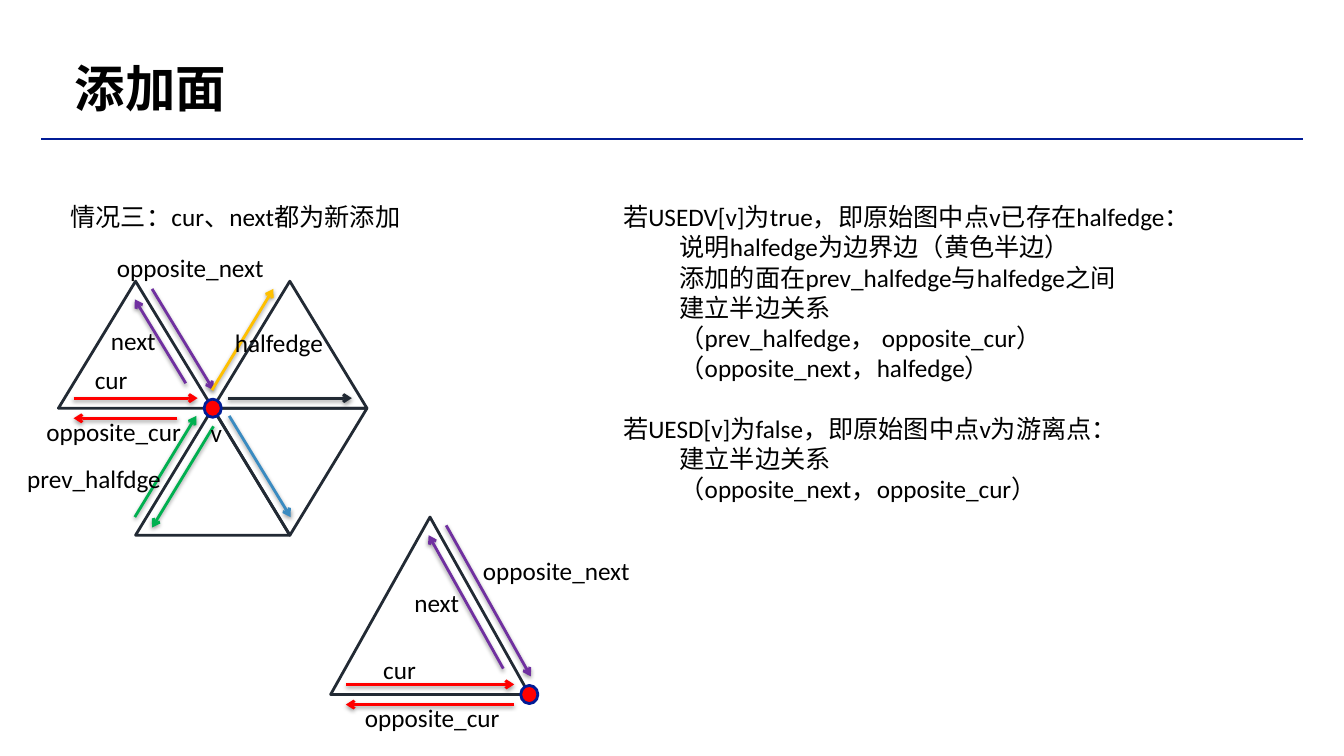
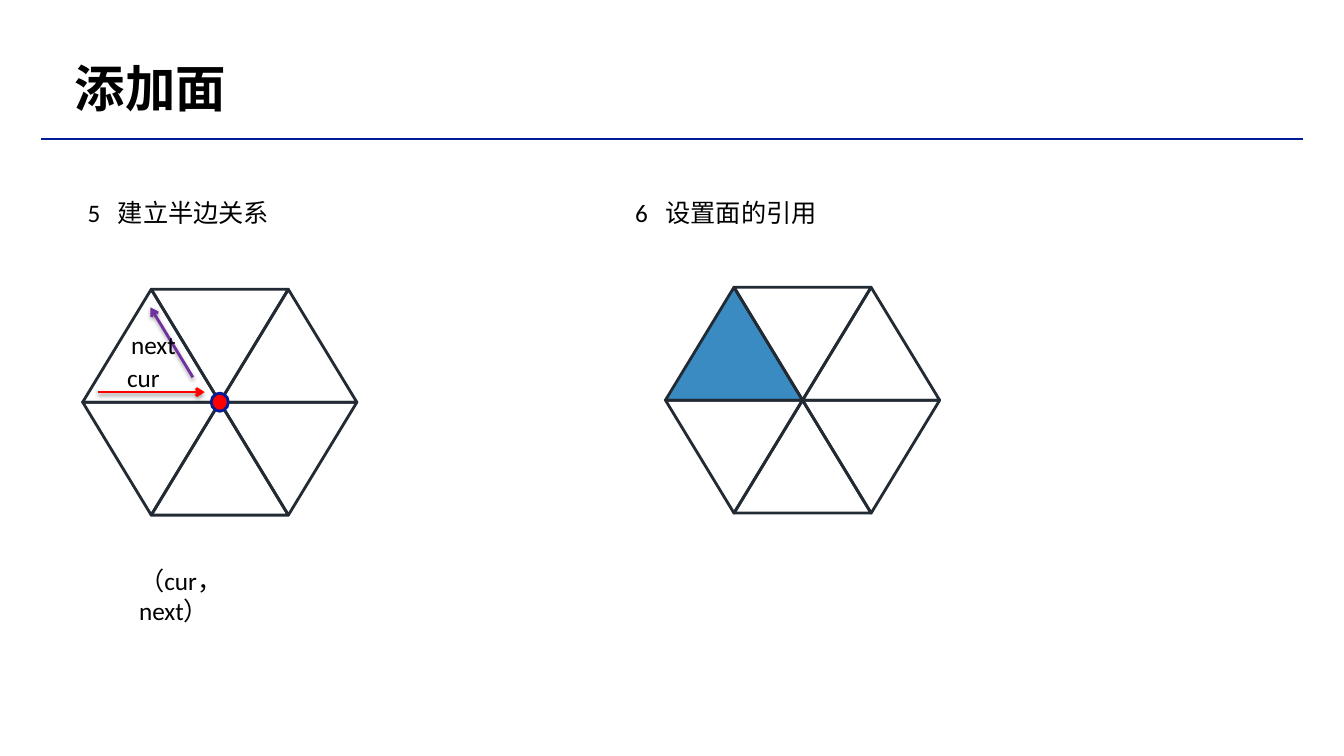
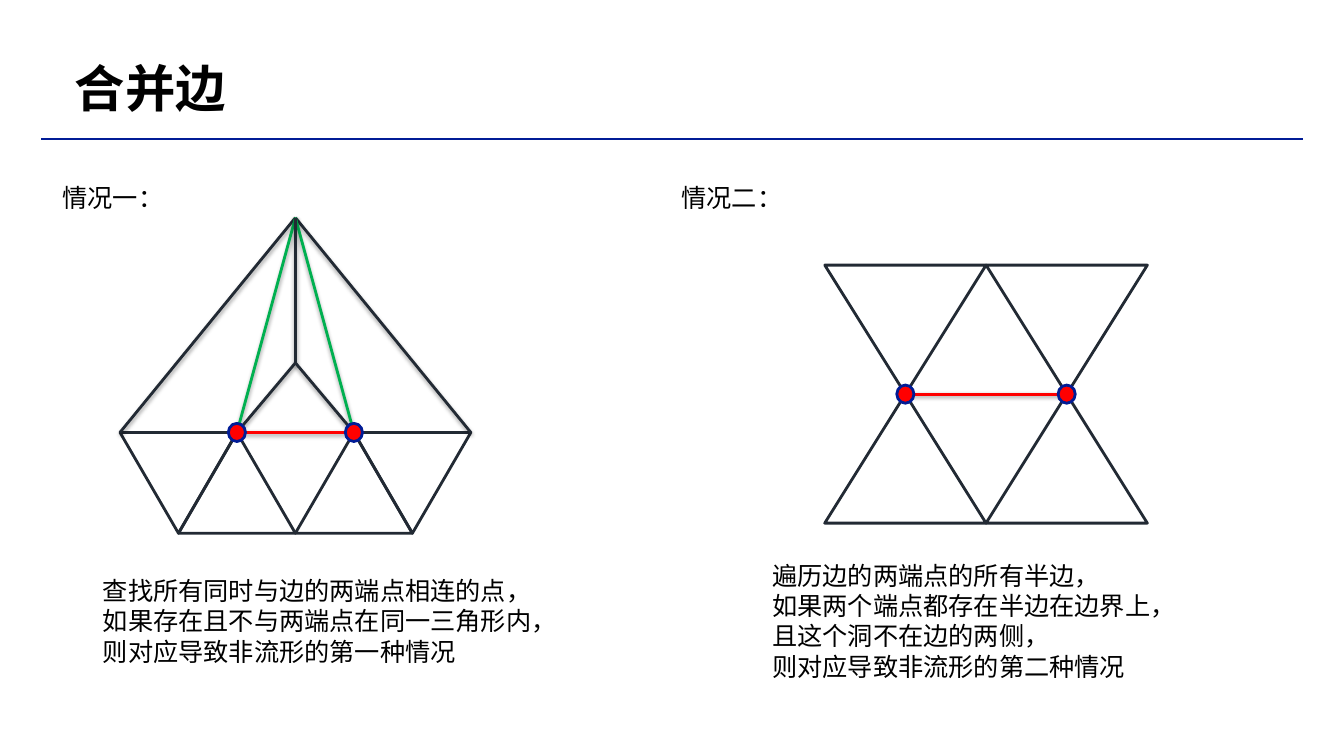
import itertools
import math
import pptx
import pptx.util
import pptx.dml.color
import pptx.enum.lang
import pptx.enum.shapes
import pptx.enum.text
import pptx.oxml
import pptx.oxml.ns

SHAPE = pptx.enum.shapes.MSO_SHAPE
INCH = pptx.util.Inches
COLORS = {"text": "000000", "rule": "011C96", "outline": "222A34", "red": "FF0000",
          "purple": "7030A0", "yellow": "FFC000", "blue": "3A8BC1", "green": "00B050"}
FONT = "Calibri"
BODY_SIZE, TITLE_SIZE = 18, 36
LINE_HEIGHT, WIDE_LETTER, NARROW_LETTER = 0.3, 0.25, 0.13
INSET, INDENT, NUMBER_TAB = 0.05, 0.56, 0.3
HALFEDGE_OFFSET, HALFEDGE_TRIM, LATE_START = 0.1, 0.15, 0.35

# Mesh points, in columns half a triangle wide and rows one triangle high
POINTS = {"W": (0, 1), "hub": (2, 1), "E": (4, 1), "far E": (6, 1),
          "NW": (1, 0), "NE": (3, 0), "SW": (1, 2), "SE": (3, 2),
          "apex": (3, -1.13), "inner": (3, 0.31)}

# Half-edges lie to the left of their direction; True starts further from the point
INNER_PAIR = [("red", "W", "hub"), ("purple", "hub", "NW", True)]
OUTER_PAIR = [("red", "hub", "W", True), ("purple", "NW", "hub")]

# mesh rows: # is a triangle, @ a filled one, . a gap
# texts: left, top, paragraphs, and a width where the text must wrap
SLIDES = [
    {
        "title": "添加面",
        "meshes": [
            {
                "origin": (0.58, 2.79), "triangle": (1.53, 1.26), "rows": ["#.#", ".##"],
                "halfedges": INNER_PAIR + OUTER_PAIR + [
                    ("yellow", "hub", "NE"), ("outline", "hub", "E"), ("blue", "hub", "SE"),
                    ("green", "hub", "SW"), ("green", "SW", "hub")],
                "vertices": ["hub"],
            },
            {
                "origin": (3.28, 5.13), "triangle": (1.97, 1.76), "rows": ["#"],
                "halfedges": INNER_PAIR + [halfedge[:3] for halfedge in OUTER_PAIR],
                "vertices": ["hub"],
            },
        ],
        "texts": [
            (0.65, 1.95, ["情况三：cur、next都为新添加"]),
            (6.13, 1.95, [
                "若USEDV[v]为true，即原始图中点v已存在halfedge：",
                ["说明halfedge为边界边（黄色半边）",
                 "添加的面在prev_halfedge与halfedge之间",
                 "建立半边关系",
                 "（prev_halfedge， opposite_cur）",
                 "（opposite_next，halfedge）"],
                "若UESD[v]为false，即原始图中点v为游离点：",
                ["建立半边关系", "（opposite_next，opposite_cur）"],
            ]),
            (0.89, 3.57, ["cur"]),
            (1.05, 3.18, ["next"]),
            (2.04, 4.09, ["v"]),
            (2.28, 3.2, ["halfedge"]),
            (0.22, 4.55, ["prev_halfdge"]),
            (0.41, 4.08, ["opposite_cur"]),
            (1.11, 2.45, ["opposite_next"]),
            (3.75, 6.44, ["cur"]),
            (4.06, 5.78, ["next"]),
            (3.57, 6.92, ["opposite_cur"]),
            (4.74, 5.46, ["opposite_next"]),
        ],
    },
    {
        "title": "添加面",
        "meshes": [
            {"origin": (0.82, 2.87), "triangle": (1.36, 1.12), "rows": ["###", "###"],
             "halfedges": INNER_PAIR, "vertices": ["hub"]},
            {"origin": (6.6, 2.85), "triangle": (1.36, 1.12), "rows": ["@##", "###"]},
        ],
        "texts": [
            (0.82, 1.91, ["5\t建立半边关系"]),
            (6.25, 1.91, ["6\t设置面的引用"]),
            (1.21, 3.55, ["cur"]),
            (1.25, 3.22, ["next"]),
            (1.33, 5.56, ["（cur，next）"], 1.5),
        ],
    },
    {
        "title": "合并边",
        "meshes": [
            {
                "origin": (1.19, 3.29), "triangle": (1.16, 1), "rows": ["", "##.##"],
                "edges": [("outline", "W", "apex", "far E"), ("green", "hub", "apex", "E"),
                          ("outline", "apex", "inner"), ("outline", "hub", "inner", "E"),
                          ("red", "hub", "E")],
                "vertices": ["hub", "E"],
            },
            {
                "origin": (7.38, 2.63), "triangle": (1.6, 1.28), "rows": [".#.#", ".#.#"],
                "edges": [("red", "hub", "E")],
                "vertices": ["hub", "E"],
            },
        ],
        "texts": [
            (0.57, 1.76, ["情况一："]),
            (6.71, 1.76, ["情况二："]),
            (0.97, 5.66, ["查找所有同时与边的两端点相连的点，",
                          "如果存在且不与两端点在同一三角形内，",
                          "则对应导致非流形的第一种情况"]),
            (7.61, 5.51, ["遍历边的两端点的所有半边，",
                          "如果两个端点都存在半边在边界上，",
                          "且这个洞不在边的两侧，",
                          "则对应导致非流形的第二种情况"]),
        ],
    },
]

SHADOW = ('<a:outerShdw blurRad="38100" dist="20000" dir="5400000" rotWithShape="0">'
          '<a:srgbClr val="000000"><a:alpha val="38000"/></a:srgbClr></a:outerShdw>')


def rgb(name):
    return pptx.dml.color.RGBColor.from_string(COLORS[name])


def xml(tag, content="", attributes=""):
    namespace = pptx.oxml.ns.nsdecls("a")
    return pptx.oxml.parse_xml(f"<a:{tag} {namespace} {attributes}>{content}</a:{tag}>")


# Text
def format_frame(frame):
    frame.word_wrap = True
    frame.auto_size = pptx.enum.text.MSO_AUTO_SIZE.NONE
    frame.vertical_anchor = pptx.enum.text.MSO_ANCHOR.TOP
    frame.margin_left = frame.margin_right = INCH(INSET)
    frame.margin_top = frame.margin_bottom = INCH(INSET)


def format_runs(paragraph, size, bold=False):
    paragraph.alignment = pptx.enum.text.PP_ALIGN.LEFT
    for run in paragraph.runs:
        run.font.name = FONT
        run.font.size = pptx.util.Pt(size)
        run.font.bold = bold
        run.font.color.rgb = rgb("text")
        run.font.language_id = pptx.enum.lang.MSO_LANGUAGE_ID.SIMPLIFIED_CHINESE


def text_width(words):
    return sum(WIDE_LETTER if ord(letter) > 255 else NARROW_LETTER for letter in words)


def add_text(slide, left, top, content, width=None):
    lines = []
    for item in content:
        nested = isinstance(item, list)
        lines += [(words, nested) for words in (item if nested else [item])]
    needed = max(text_width(words) + INDENT * nested for words, nested in lines)
    box = (left, top, width or needed + LINE_HEIGHT,
           LINE_HEIGHT * len(lines) + 2 * INSET)
    frame = slide.shapes.add_textbox(*map(INCH, box)).text_frame
    format_frame(frame)
    after_nested = False
    for index, (words, nested) in enumerate(lines):
        paragraph = frame.add_paragraph() if index else frame.paragraphs[0]
        paragraph.text = words
        properties = paragraph._p.get_or_add_pPr()
        if nested:
            properties.set("marL", str(INCH(INDENT)))
        elif after_nested:
            paragraph.space_before = INCH(LINE_HEIGHT)
        if "\t" in words:
            properties.append(xml("tabLst", f'<a:tab pos="{INCH(NUMBER_TAB)}" algn="l"/>'))
        format_runs(paragraph, BODY_SIZE)
        after_nested = nested


# Lines and shapes
def add_line(slide, start, end, color, weight=2, arrow=False, shadow=True):
    line = slide.shapes.add_connector(
        pptx.enum.shapes.MSO_CONNECTOR.STRAIGHT, *map(INCH, (*start, *end)))
    line.line.color.rgb = rgb(color)
    line.line.width = pptx.util.Pt(weight)
    if arrow:
        line.line._get_or_add_ln().append(xml("tailEnd", attributes='type="arrow"'))
    line._element.spPr.append(xml("effectLst", SHADOW if shadow else ""))


def add_halfedge(slide, start, end, color, late=False):
    length = math.dist(start, end)
    along_x, along_y = ((b - a) / length for a, b in zip(start, end))

    def shift(point, distance):
        return (point[0] + along_x * distance + along_y * HALFEDGE_OFFSET,
                point[1] + along_y * distance - along_x * HALFEDGE_OFFSET)

    add_line(slide, shift(start, LATE_START if late else HALFEDGE_TRIM),
             shift(end, -HALFEDGE_TRIM), color, arrow=True)


def add_outlined(slide, kind, box, outline, fill=None):
    shape = slide.shapes.add_shape(kind, *map(INCH, box))
    shape.shadow.inherit = False
    if fill:
        shape.fill.solid()
        shape.fill.fore_color.rgb = rgb(fill)
    else:
        shape.fill.background()
    shape.line.color.rgb = rgb(outline)
    shape.line.width = pptx.util.Pt(2)
    return shape


def add_mesh(slide, mesh):
    left, top = mesh["origin"]
    width, height = mesh["triangle"]

    def place(column, row):
        return left + column * width / 2, top + row * height

    places = {name: place(*point) for name, point in POINTS.items()}
    for row, cells in enumerate(mesh["rows"]):
        for column, mark in enumerate(cells):
            if mark != ".":
                triangle = add_outlined(
                    slide, SHAPE.ISOSCELES_TRIANGLE, (*place(column, row), width, height),
                    "outline", "blue" if mark == "@" else None)
                triangle.rotation = 180 * ((column + row) % 2)
    for color, *stops in mesh.get("edges", []):
        for start, end in itertools.pairwise(stops):
            add_line(slide, places[start], places[end], color)
    for color, start, end, *late in mesh.get("halfedges", []):
        add_halfedge(slide, places[start], places[end], color, *late)
    for name in mesh.get("vertices", []):
        x, y = places[name]
        across, down = 0.17, 0.18
        add_outlined(slide, SHAPE.OVAL, (x - across / 2, y - down / 2, across, down),
                     "rule", "red")


# Shared title and rule
def add_heading(slide, words):
    title = slide.shapes.title
    title.left, title.top, title.width, title.height = map(INCH, (0.69, 0.58, 7.63, 0.66))
    title.text_frame.text = words
    format_frame(title.text_frame)
    heading = title.text_frame.paragraphs[0]
    heading.line_spacing = 0.9
    format_runs(heading, TITLE_SIZE, bold=True)
    add_line(slide, (0.41, 1.38), (12.92, 1.38), "rule", weight=1.5, shadow=False)


def main():
    deck = pptx.Presentation()
    deck.slide_width, deck.slide_height = INCH(13.33), INCH(7.5)
    layout = deck.slide_layouts.get_by_name("Title Only")
    for content in SLIDES:
        slide = deck.slides.add_slide(layout)
        add_heading(slide, content["title"])
        for mesh in content["meshes"]:
            add_mesh(slide, mesh)
        for text in content["texts"]:
            add_text(slide, *text)
    deck.save("out.pptx")


if __name__ == "__main__":
    main()
